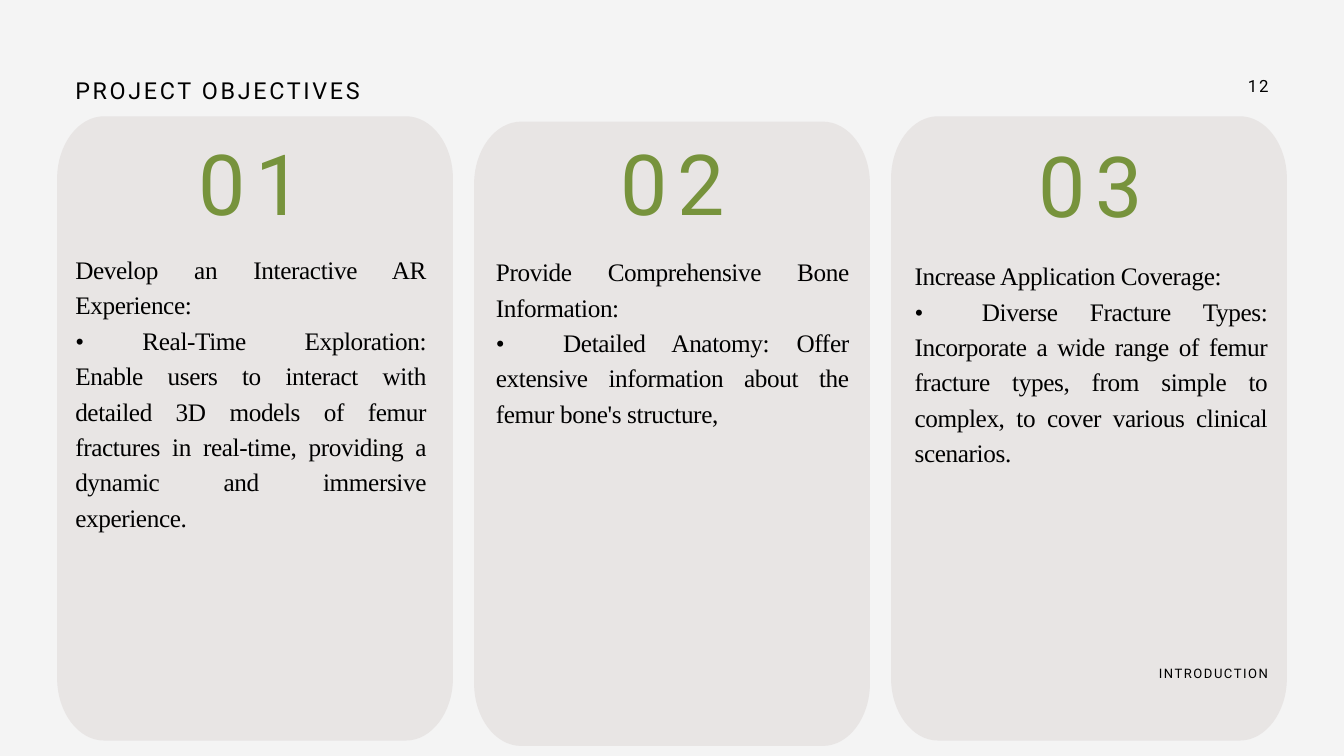
"""Build the project objectives slide: three numbered cards under a title."""
from lxml.etree import SubElement
from pptx import Presentation
from pptx.dml.color import RGBColor
from pptx.enum.text import MSO_ANCHOR, MSO_AUTO_SIZE, PP_ALIGN
from pptx.oxml.ns import qn
from pptx.util import Inches, Pt

COLORS = {"page": "F4F4F4", "card": "E0DBDA", "ink": "000000", "number": "77933C"}
HEADING, BODY = "Roboto", "Times New Roman"
TITLE = "PROJECT OBJECTIVES"
SECTION = "INTRODUCTION"
PAGE = "12"
OBJECTIVES = [
    {"number": "01", "number_box": (2.95, 1.7, 1.57, 1.7),
     "card_top": 1.73, "body_box": (1.12, 3.71, 5.22, 3.71),
     "body": ["Develop an Interactive AR Experience:",
              "•\tReal-Time Exploration: Enable users to interact with detailed 3D models "
              "of femur fractures in real-time, providing a dynamic and immersive experience."]},
    {"number": "02", "number_box": (9.06, 1.7, 1.89, 1.7),
     "card_top": 1.81, "body_box": (7.38, 3.74, 5.25, 2.64),
     "body": ["Provide Comprehensive Bone Information:",
              "•\tDetailed Anatomy: Offer extensive information about the femur bone's "
              "structure, "]},
    {"number": "03", "number_box": (15.31, 1.73, 1.85, 1.7),
     "card_top": 1.73, "body_box": (13.61, 3.8, 5.25, 3.17),
     "body": ["Increase Application Coverage:",
              "•\tDiverse Fracture Types: Incorporate a wide range of femur fracture types, "
              "from simple to complex, to cover various clinical scenarios."]},
]
SLIDE_WIDTH, SLIDE_HEIGHT = 20, 11.25
CARD_WIDTH, CARD_HEIGHT, CARD_MARGIN = 5.89, 9.29, 0.85
CARD_PITCH = (SLIDE_WIDTH - 2 * CARD_MARGIN - CARD_WIDTH) / (len(OBJECTIVES) - 1)
CORNER_X, CORNER_Y, CURVATURE = 0.7, 0.93, 0.55


def rgb(name):
    return RGBColor.from_string(COLORS[name])


def write(slide, box, paragraphs, *, size, leading, spacing, font=HEADING,
          color="ink", align=PP_ALIGN.LEFT, holder=None):
    holder = holder or slide.shapes.add_textbox(0, 0, 0, 0)
    holder.left, holder.top, holder.width, holder.height = map(Inches, box)
    frame = holder.text_frame
    frame.word_wrap = True
    frame.auto_size = MSO_AUTO_SIZE.SHAPE_TO_FIT_TEXT
    frame.vertical_anchor = MSO_ANCHOR.TOP
    frame.margin_left = frame.margin_right = frame.margin_top = frame.margin_bottom = 0
    for index, text in enumerate(paragraphs):
        paragraph = frame.add_paragraph() if index else frame.paragraphs[0]
        paragraph.alignment = align
        paragraph.line_spacing = Pt(leading)
        if "\t" in text:
            stops = SubElement(paragraph._p.get_or_add_pPr(), qn("a:tabLst"))
            SubElement(stops, qn("a:tab"), pos=str(Inches(1)), algn="l")
        run = paragraph.add_run()
        run.text = text
        run.font.name = font
        run.font.size = Pt(size)
        run.font.color.rgb = rgb(color)
        run._r.get_or_add_rPr().set("spc", str(round(spacing * 100)))


def toward(start, corner):
    return tuple(a + (b - a) * CURVATURE for a, b in zip(start, corner))


def add_card(slide, left, top):
    right, bottom = left + CARD_WIDTH, top + CARD_HEIGHT
    corners = [((right - CORNER_X, top), (right, top), (right, top + CORNER_Y)),
               ((right, bottom - CORNER_Y), (right, bottom), (right - CORNER_X, bottom)),
               ((left + CORNER_X, bottom), (left, bottom), (left, bottom - CORNER_Y)),
               ((left, top + CORNER_Y), (left, top), (left + CORNER_X, top))]
    outline = []
    for start, corner, end in corners:
        outline += [start, toward(start, corner), toward(end, corner), end]
    points = [(Inches(x), Inches(y)) for x, y in outline]
    builder = slide.shapes.build_freeform(*points[-1])
    builder.add_line_segments(points, close=True)
    card = builder.convert_to_shape()

    lines = list(card._element.iter(qn("a:lnTo")))
    for first in range(0, len(lines), 4):
        controls = lines[first + 1:first + 4]
        curve = SubElement(controls[0].getparent(), qn("a:cubicBezTo"))
        controls[0].addprevious(curve)
        for control in controls:
            curve.append(control[0])
            control.getparent().remove(control)

    card.shadow.inherit = False
    card.line.fill.background()
    card.fill.solid()
    card.fill.fore_color.rgb = rgb("card")
    tint = card._element.spPr.find(qn("a:solidFill")).find(qn("a:srgbClr"))
    SubElement(tint, qn("a:alpha"), val="60000")


def main():
    deck = Presentation()
    deck.slide_width, deck.slide_height = Inches(SLIDE_WIDTH), Inches(SLIDE_HEIGHT)
    slide = deck.slides.add_slide(deck.slide_layouts[5])
    slide.background.fill.solid()
    slide.background.fill.fore_color.rgb = rgb("page")

    write(slide, (1.12, 1.07, 4.71, 0.46), [TITLE], size=25, leading=35, spacing=2.9,
          holder=slide.shapes.title)
    for column, objective in enumerate(OBJECTIVES):
        add_card(slide, CARD_MARGIN + column * CARD_PITCH, objective["card_top"])
        write(slide, objective["number_box"], [objective["number"]], size=90.2,
              leading=126.3, spacing=10.5, color="number", align=PP_ALIGN.CENTER)
        write(slide, objective["body_box"], objective["body"], size=27, leading=37.9,
              spacing=-0.4, font=BODY, align=PP_ALIGN.JUSTIFY)
    write(slide, (14.16, 9.86, 4.71, 0.26), [SECTION], size=14, leading=19.6,
          spacing=1.6, align=PP_ALIGN.RIGHT)
    write(slide, (17.68, 1.08, 1.2, 0.33), [PAGE], size=18, leading=25.2,
          spacing=2.1, align=PP_ALIGN.RIGHT)
    deck.save("out.pptx")


if __name__ == "__main__":
    main()
